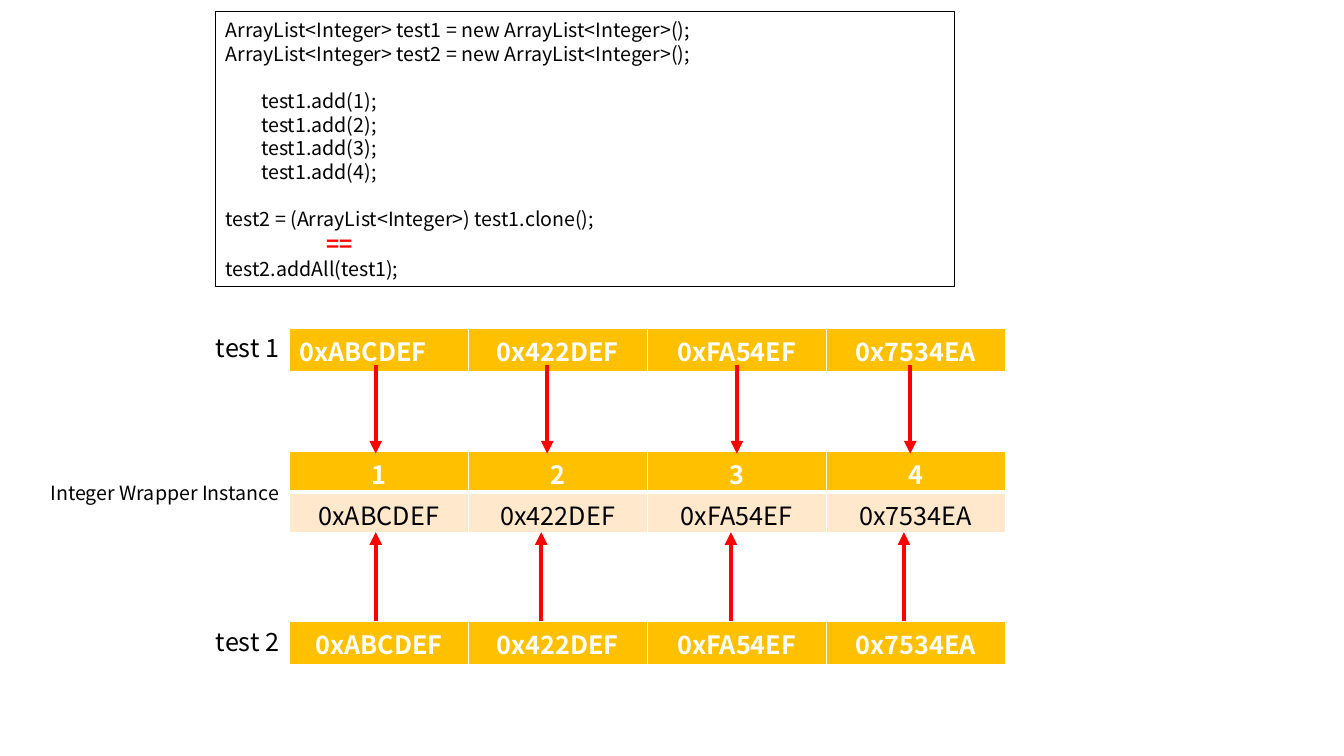
from dataclasses import dataclass

from lxml import etree
from pptx import Presentation
from pptx.dml.color import RGBColor
from pptx.enum.shapes import MSO_CONNECTOR, MSO_SHAPE
from pptx.enum.text import MSO_ANCHOR, PP_ALIGN
from pptx.oxml.ns import qn
from pptx.util import Cm, Pt

LEFT, CENTER, RIGHT = PP_ALIGN.LEFT, PP_ALIGN.CENTER, PP_ALIGN.RIGHT
TOP, MIDDLE = MSO_ANCHOR.TOP, MSO_ANCHOR.MIDDLE
RECTANGLE, STRAIGHT = MSO_SHAPE.RECTANGLE, MSO_CONNECTOR.STRAIGHT

FONT = "Noto Sans CJK KR"
COLORS = {"text": "000000", "white": "FFFFFF", "header": "FFC000",
          "body": "FFE8CC", "arrow": "FF0000"}
LINE_FACTOR = 1.2
COLUMN_WIDTH = 4.51
TABLE_LEFT = 7.29
ADDRESSES = ["0xABCDEF", "0x422DEF", "0xFA54EF", "0x7534EA"]


@dataclass
class CodeLine:
    text: str
    indent: float = 0
    gap: float = 0
    size: float = 14
    color: str = "text"
    bold: bool = False


@dataclass
class Label:
    text: str
    left: float
    top: float
    width: float
    height: float
    size: float


@dataclass
class Grid:
    top: float
    row_height: float
    rows: list[list[str]]
    first_align: PP_ALIGN = CENTER


@dataclass
class ArrowRow:
    start: float
    end: float
    columns: list[float]


CODE = [
    CodeLine("ArrayList<Integer> test1 = new ArrayList<Integer>();"),
    CodeLine("ArrayList<Integer> test2 = new ArrayList<Integer>();"),
    CodeLine("test1.add(1);", indent=0.89, gap=16.8),
    *[CodeLine(f"test1.add({number});", indent=0.89) for number in (2, 3, 4)],
    CodeLine("test2 = (ArrayList<Integer>) test1.clone();", gap=16.8),
    CodeLine("==", indent=2.54, size=16, color="arrow", bold=True),
    CodeLine("test2.addAll(test1);"),
]
LABELS = [
    Label("test 1", 3.2, 8.26, 4.09, 1.04, 18),
    Label("test 2", 3.2, 15.65, 4.09, 1.04, 18),
    Label("Integer Wrapper Instance", 0.97, 11.99, 6.32, 0.86, 14),
]
GRIDS = [
    Grid(8.28, 1.12, [ADDRESSES], first_align=LEFT),
    Grid(11.38, 1.02, [["1", "2", "3", "4"], ADDRESSES]),
    Grid(15.65, 1.12, [ADDRESSES]),
]
ARROWS = [
    ArrowRow(9.19, 11.43, [9.47, 13.79, 18.57, 22.94]),
    ArrowRow(15.65, 13.41, [9.47, 13.64, 18.42, 22.78]),
]


def color(name: str) -> RGBColor:
    return RGBColor.from_string(COLORS[name])


def write(para, text: str, size: float, tone: str, bold: bool, align: PP_ALIGN) -> None:
    para.alignment = align
    para.line_spacing = Pt(size * LINE_FACTOR)
    span = para.add_run()
    span.text = text
    span.font.name = FONT
    span.font.size = Pt(size)
    span.font.bold = bold
    span.font.color.rgb = color(tone)


def draw_code(page, lines: list[CodeLine]) -> None:
    box = page.shapes.add_shape(RECTANGLE, Cm(5.44), Cm(0.3), Cm(18.62), Cm(6.93))
    box.shadow.inherit = False
    box.fill.background()
    box.line.color.rgb = color("text")
    box.line.width = Pt(0.75)
    frame = box.text_frame
    frame.word_wrap = True
    frame.vertical_anchor = MIDDLE
    for index, line in enumerate(lines):
        para = frame.add_paragraph() if index else frame.paragraphs[0]
        write(para, line.text, line.size, line.color, line.bold, LEFT)
        para.space_before = Pt(line.gap)
        para._p.get_or_add_pPr().set("marL", str(Cm(line.indent)))


def draw_label(page, label: Label) -> None:
    box = page.shapes.add_textbox(Cm(label.left), Cm(label.top),
                                  Cm(label.width), Cm(label.height))
    box.text_frame.word_wrap = True
    write(box.text_frame.paragraphs[0], label.text, label.size, "text", False, RIGHT)


def add_border(cell, side: str, width: float) -> None:
    border = etree.SubElement(cell._tc.get_or_add_tcPr(), qn(f"a:{side}"), w=str(Pt(width)))
    fill = etree.SubElement(border, qn("a:solidFill"))
    etree.SubElement(fill, qn("a:srgbClr"), val=COLORS["white"])


def draw_grid(page, grid: Grid) -> None:
    row_count, column_count = len(grid.rows), len(grid.rows[0])
    table = page.shapes.add_table(
        row_count, column_count, Cm(TABLE_LEFT), Cm(grid.top),
        Cm(COLUMN_WIDTH * column_count), Cm(grid.row_height * row_count)).table
    for column in table.columns:
        column.width = Cm(COLUMN_WIDTH)
    for row_index, texts in enumerate(grid.rows):
        is_header = row_index == 0
        table.rows[row_index].height = Cm(grid.row_height)
        for column_index, text in enumerate(texts):
            cell = table.cell(row_index, column_index)
            cell.vertical_anchor = TOP
            cell.margin_top, cell.margin_bottom = Cm(0.25), Cm(0)
            # The rule under the header row is thicker than the others
            for side in ("lnL", "lnR"):
                add_border(cell, side, 1)
            add_border(cell, "lnT", 1 if is_header else 3)
            add_border(cell, "lnB", 3 if is_header else 1)
            cell.fill.solid()
            cell.fill.fore_color.rgb = color("header" if is_header else "body")
            align = CENTER if column_index else grid.first_align
            write(cell.text_frame.paragraphs[0], text, 18,
                  "white" if is_header else "text", is_header, align)


def draw_arrow(page, x: float, start: float, end: float) -> None:
    arrow = page.shapes.add_connector(STRAIGHT, Cm(x), Cm(start), Cm(x), Cm(end))
    arrow.line.color.rgb = color("arrow")
    arrow.line.width = Pt(3)
    etree.SubElement(arrow.line._get_or_add_ln(), qn("a:tailEnd"), type="triangle")
    etree.SubElement(arrow._element.spPr, qn("a:effectLst"))


def main() -> None:
    deck = Presentation()
    deck.slide_width, deck.slide_height = Cm(33.87), Cm(19.05)
    page = deck.slides.add_slide(deck.slide_layouts[6])

    # Code listing
    draw_code(page, CODE)

    # Lists, shared instances and their labels
    for grid in GRIDS:
        draw_grid(page, grid)
    for label in LABELS:
        draw_label(page, label)

    # References from both lists to the instances
    for arrow_row in ARROWS:
        for x in arrow_row.columns:
            draw_arrow(page, x, arrow_row.start, arrow_row.end)

    deck.save("out.pptx")


if __name__ == "__main__":
    main()
